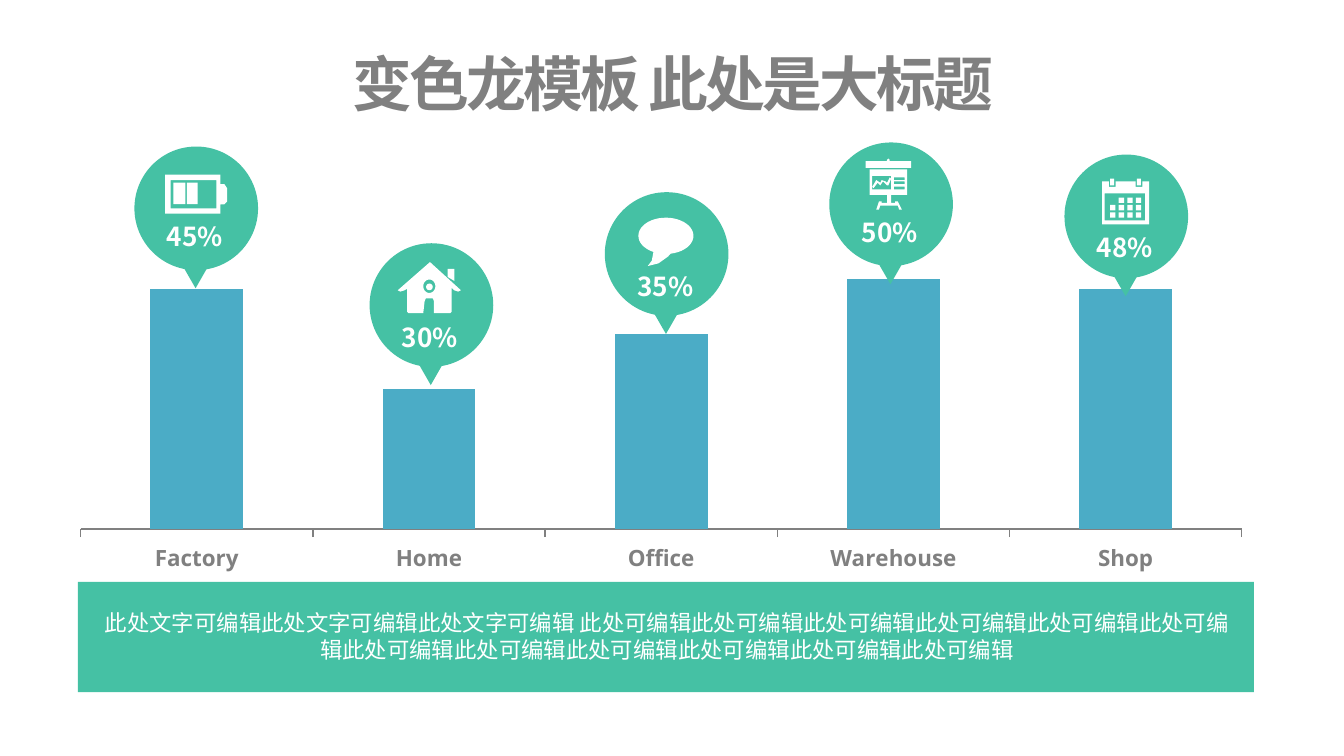
from dataclasses import dataclass
from math import cos, radians, sin

from lxml import etree
from pptx import Presentation
from pptx.chart.data import CategoryChartData
from pptx.dml.color import RGBColor
from pptx.enum.chart import XL_CHART_TYPE, XL_TICK_LABEL_POSITION, XL_TICK_MARK
from pptx.enum.shapes import MSO_SHAPE
from pptx.enum.text import MSO_ANCHOR, MSO_AUTO_SIZE, PP_ALIGN
from pptx.oxml import parse_xml
from pptx.oxml.ns import nsdecls, qn
from pptx.util import Inches, Pt

COLUMN = XL_CHART_TYPE.COLUMN_CLUSTERED
OUT, NONE = XL_TICK_MARK.OUTSIDE, XL_TICK_MARK.NONE
LOW = XL_TICK_LABEL_POSITION.LOW
OVAL, RECT = MSO_SHAPE.OVAL, MSO_SHAPE.RECTANGLE
WEDGE = MSO_SHAPE.ISOSCELES_TRIANGLE
TOP, MIDDLE = MSO_ANCHOR.TOP, MSO_ANCHOR.MIDDLE

HEX = {"gray": "808080", "green": "45C1A4", "blue": "4BACC6", "white": "FFFFFF"}
CJK, SANS = "Noto Sans CJK SC", "Open Sans"

WIDE = Inches(10)
HIGH = WIDE * 9 // 16
UNIT = WIDE / 1000  # the grid has 1000 columns, with rows of the same size


@dataclass
class Icon:
    paths: list[list[list[tuple[float, float]]]]  # outer loop, then its holes
    boxes: list[tuple[float, float, float, float]]
    dots: list[tuple[float, float, float, float]]


@dataclass
class Pin:
    left: float
    top: float
    label: str
    drop: float  # from the top of the pin to its label
    icon: Icon


def grid(n: float) -> int:
    return round(n * UNIT)


def tint(name: str) -> RGBColor:
    return RGBColor.from_string(HEX[name])


def arc(x: float, y: float, rx: float, ry: float, start: int = 0, end: int = 360) -> list:
    steps = 40
    turns = [radians(start + (end - start) * i / steps) for i in range(steps + 1)]
    return [(x + rx * cos(t), y + ry * sin(t)) for t in turns]


def block(x1: float, y1: float, x2: float, y2: float) -> list:
    return [(x1, y1), (x2, y1), (x2, y2), (x1, y2)]


def paint(shape, color: str) -> None:
    shape.shadow.inherit = False
    shape.fill.solid()
    shape.fill.fore_color.rgb = tint(color)
    shape.line.fill.background()


def add_box(shapes, kind, box: tuple, color: str):
    shape = shapes.add_shape(kind, *map(grid, box))
    paint(shape, color)
    return shape


def add_path(shapes, loops: list, left: float, top: float) -> None:
    spots = [[(grid(left + x), grid(top + y)) for x, y in loop] for loop in loops]
    pen = shapes.build_freeform(*spots[0][0], scale=1.0)
    for i, loop in enumerate(spots):
        if i:
            pen.move_to(*loop[0])
        pen.add_line_segments(loop[1:], close=True)
    paint(pen.convert_to_shape(), "white")


def write(shape, text: str, *, size: float, color: str, font: str = CJK,
          bold: bool = False, anchor=TOP, space: int = 0) -> None:
    frame = shape.text_frame
    frame.word_wrap = True
    frame.auto_size = MSO_AUTO_SIZE.NONE
    frame.vertical_anchor = anchor
    frame.margin_left = frame.margin_right = grid(5)
    frame.margin_top = frame.margin_bottom = grid(3)
    para = frame.paragraphs[0]
    para.alignment = PP_ALIGN.CENTER
    run = para.add_run()
    run.text = text
    run.font.size, run.font.bold = Pt(size), bold
    run.font.color.rgb = tint(color)
    run.font.name = font
    props = run.font._element
    etree.SubElement(props, qn("a:ea")).set("typeface", CJK)
    if space:
        props.set("spc", str(space))


def add_pin(slide, pin: Pin) -> None:
    shapes = slide.shapes.add_group_shape().shapes
    left, top, icon = pin.left, pin.top, pin.icon
    add_box(shapes, OVAL, (left, top, 92, 92), "green")
    add_box(shapes, WEDGE, (left + 30, top + 78.5, 31, 27), "green").rotation = 180
    for loops in icon.paths:
        add_path(shapes, loops, left, top)
    for kind, boxes in ((RECT, icon.boxes), (OVAL, icon.dots)):
        for x, y, w, h in boxes:
            add_box(shapes, kind, (left + x, top + y, w, h), "white")
    label = slide.shapes.add_textbox(*map(grid, (left + 8, top + pin.drop, 74, 29)))
    write(label, pin.label, size=14, color="white", bold=True)


def add_bars(slide, values: dict[str, int]) -> None:
    data = CategoryChartData()
    data.categories = list(values)
    data.add_series("Series 1", list(values.values()))
    chart = slide.shapes.add_chart(COLUMN, *map(grid, (42, 183, 900, 248)), data).chart
    chart.has_legend = chart.has_title = False
    chart.font.name, chart.font.size = "Calibri", Pt(18)
    plot = chart.plots[0]
    plot.gap_width, plot.vary_by_categories = 150, False
    fill = plot.series[0].format.fill
    fill.solid()
    fill.fore_color.rgb = tint("blue")
    scale = chart.value_axis
    scale.minimum_scale, scale.maximum_scale = 0, 100
    scale.has_major_gridlines = scale.visible = False
    axis = chart.category_axis
    axis.major_tick_mark, axis.minor_tick_mark = OUT, NONE
    axis.tick_label_position = LOW
    axis.format.line.color.rgb = tint("gray")
    font = axis.tick_labels.font
    font.name, font.size, font.bold = SANS, Pt(12), True
    font.color.rgb = tint("gray")
    # Fixed plot area, as shares of the chart
    area = chart._chartSpace.chart.plotArea
    for old in area.findall(qn("c:layout")):
        area.remove(old)
    shares = {"x": 0.02, "y": 0.1, "w": 0.96, "h": 0.75}
    marks = "".join(f'<c:{k}Mode val="edge"/>' for k in "xy")
    marks += "".join(f'<c:{k} val="{v}"/>' for k, v in shares.items())
    area.insert(0, parse_xml(
        f'<c:layout {nsdecls("c")}><c:manualLayout><c:layoutTarget val="inner"/>'
        f"{marks}</c:manualLayout></c:layout>"))


# Icons, measured from the top left of their pin
BATTERY = Icon([[[(23, 21), (64, 21), (64, 28), (67, 28), (69, 31), (69, 41), (67, 43),
                  (64, 43), (64, 50), (23, 50)], block(27, 25, 61, 46)]],
               [(29, 27, 9, 16), (39, 27, 8, 16)], [])
HOUSE = Icon([[[(45, 14), (21, 35), (23, 36), (26, 35), (28, 34), (28, 51), (29, 52),
                (40, 52), (41, 43), (42, 41), (47, 41), (48, 43), (48, 52), (60, 52),
                (61, 51), (61, 33), (63, 35), (66, 36), (68, 35)],
               arc(44.5, 32, 4.5, 5)],
              [[(63, 28), (63, 19), (58, 19), (58, 25)]]], [], [(42, 30, 5, 5)])
BUBBLE = Icon([[arc(45.5, 32.5, 20.5, 13.5, 117, 440) + [(47, 48), (40, 53), (32, 55),
                                                       (35, 51)]]], [], [])
BOARD = Icon([
    [[(27, 14), (43, 14), (43, 13), (44, 12), (45, 13), (45, 14), (61, 14), (61, 19),
      (27, 19)]],
    [[(58, 39), (58, 20), (30, 20), (30, 39), (43, 39), (43, 45), (39, 45), (39, 44),
      (37, 44), (35, 50), (37, 50), (38, 47), (51, 47), (52, 50), (54, 50), (51, 44),
      (49, 44), (49, 45), (46, 45), (46, 39)],
     *[block(48, y, 56, y + 2) for y in (26, 29, 33)], block(32, 25, 46, 35)],
    [[(44, 28), (43, 30), (42, 29), (39, 28), (38, 30), (35, 28), (32, 33), (33, 34),
      (36, 30), (38, 32), (40, 29), (43, 32), (44, 32), (46, 27), (45, 26)]]], [], [])
DIARY = Icon([[[(63, 20), (58, 20), (58, 24), (53, 24), (53, 20), (38, 20), (38, 24),
                (33, 24), (33, 20), (28, 20), (28, 52), (63, 52)],
               block(30, 29, 60, 49)]],
             [(34 + 6.4 * c, 32 + 5.5 * r, 4, 4)
              for r in range(3) for c in range(4) if r or c]
             + [(x, 18, 3, 5) for x in (34, 54)], [])

PINS = [Pin(100, 109, "45%", 52, BATTERY), Pin(275, 181, "30%", 55, HOUSE),
        Pin(450, 143, "35%", 55, BUBBLE), Pin(617, 106, "50%", 52, BOARD),
        Pin(792, 115, "48%", 54, DIARY)]
BARS = {"Factory": 96, "Home": 56, "Office": 78, "Warehouse": 100, "Shop": 96}
NOTE = "此处文字可编辑" * 3 + " " + "此处可编辑" * 12


def main() -> None:
    deck = Presentation()
    deck.slide_width, deck.slide_height = WIDE, HIGH
    slide = deck.slides.add_slide(deck.slide_layouts[5])
    # Title
    title = slide.shapes.title
    title.left, title.top, title.width, title.height = map(grid, (-1, 32, 1003, 59))
    write(title, "变色龙模板 此处是大标题", size=32, color="gray", bold=True, space=-150)
    # Chart with a pin over each bar
    add_bars(slide, BARS)
    for pin in PINS:
        add_pin(slide, pin)
    # Caption band
    add_box(slide.shapes, RECT, (58, 433, 875, 82), "green")
    note = slide.shapes.add_textbox(*map(grid, (69, 451, 855, 45)))
    write(note, NOTE, size=12, color="white", font=SANS, anchor=MIDDLE)
    deck.save("out.pptx")


if __name__ == "__main__":
    main()
